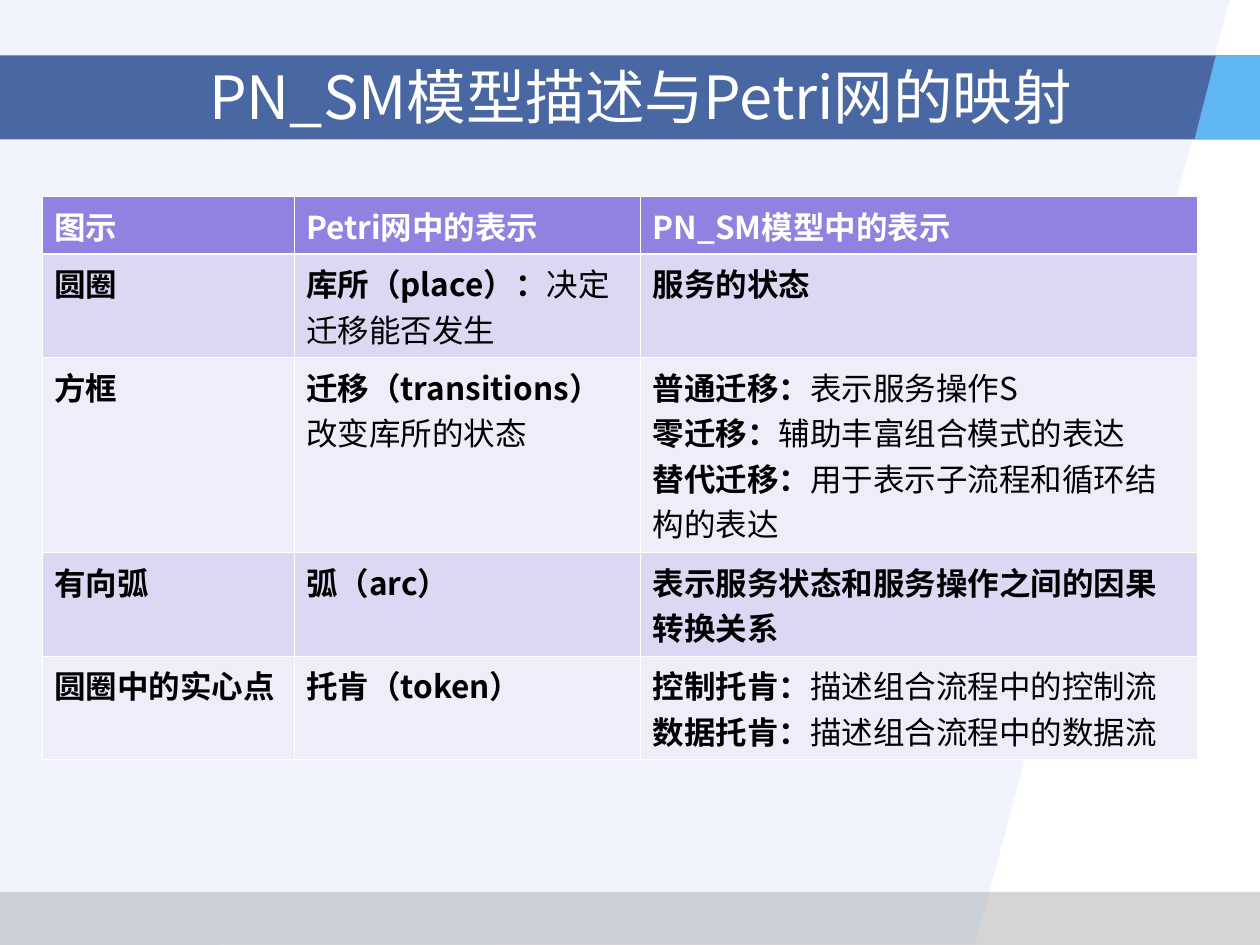
from dataclasses import dataclass
from typing import Any

import pptx
import pptx.dml.color
import pptx.enum.lang
import pptx.enum.shapes
import pptx.enum.text
import pptx.oxml.ns
import pptx.util
from lxml import etree

Pt = pptx.util.Pt
qn = pptx.oxml.ns.qn


@dataclass(frozen=True)
class Theme:
    font: str = "Noto Sans CJK SC"
    title_size: float = 34
    cell_size: float = 18
    white: str = "FFFFFF"
    black: str = "000000"
    footer: str = "969696"
    panel: str = "94B1EC"
    band: str = "173D89"
    accent: str = "5FB6F1"
    header: str = "9181E1"
    stripes: tuple[str, str] = ("DCD8F4", "EEEDF9")
    thin: float = 0.45
    thick: float = 1.47


@dataclass(frozen=True)
class Area:
    """A filled polygon, in points."""
    corners: tuple[tuple[float, float], ...]
    color: str
    opacity: int = 100


@dataclass(frozen=True)
class Line:
    """A table paragraph: a bold term, then a plain explanation."""
    term: str
    detail: str = ""


THEME = Theme()
WIDTH, HEIGHT = 720, 540
BAND_TOP, BAND_BOTTOM = 31.7, 79.7


def rgb(color: str) -> pptx.dml.color.RGBColor:
    return pptx.dml.color.RGBColor.from_string(color)


def apply(target: Any, formats: dict[str, Any]) -> None:
    for attribute, value in formats.items():
        setattr(target, attribute, value)


def rectangle(top: float, bottom: float) -> tuple[tuple[float, float], ...]:
    return (0, top), (WIDTH, top), (WIDTH, bottom), (0, bottom)


def is_rectangle(area: Area) -> bool:
    (x0, y0), (x1, y1), (x2, y2), (x3, y3) = area.corners
    return x0 == x3 and x1 == x2 and y0 == y1 and y2 == y3


def draw_area(slide: Any, area: Area) -> None:
    points = [(Pt(x), Pt(y)) for x, y in area.corners]
    (left, top), (right, bottom) = points[0], points[2]
    if is_rectangle(area):
        shape = slide.shapes.add_shape(
            pptx.enum.shapes.MSO_SHAPE.RECTANGLE, left, top, right - left, bottom - top)
    else:
        builder = slide.shapes.build_freeform(left, top)
        builder.add_line_segments(points[1:], close=True)
        shape = builder.convert_to_shape()
    shape.shadow.inherit = False
    shape.line.fill.background()
    shape.fill.solid()
    shape.fill.fore_color.rgb = rgb(area.color)
    if area.opacity < 100:
        color = shape.fill._xPr.find(f".//{qn('a:srgbClr')}")
        etree.SubElement(color, qn("a:alpha"), val=str(area.opacity * 1000))


def add_run(paragraph: Any, text: str, size: float, color: str, bold: bool = False) -> None:
    run = paragraph.add_run()
    run.text = text
    apply(run.font, {
        "name": THEME.font,
        "size": Pt(size),
        "bold": bold,
        "language_id": pptx.enum.lang.MSO_LANGUAGE_ID.SIMPLIFIED_CHINESE,
    })
    run.font.color.rgb = rgb(color)
    latin = run.font._rPr.find(qn("a:latin"))
    latin.addnext(etree.Element(qn("a:ea"), typeface=THEME.font))


def draw_title(slide: Any, text: str) -> None:
    title = slide.shapes.add_textbox(Pt(42), Pt(32.2), Pt(648), Pt(44.6))
    apply(title.text_frame, {
        "word_wrap": True,
        "vertical_anchor": pptx.enum.text.MSO_ANCHOR.MIDDLE,
    })
    paragraph = title.text_frame.paragraphs[0]
    paragraph.alignment = pptx.enum.text.PP_ALIGN.CENTER
    add_run(paragraph, text, THEME.title_size, THEME.white)


def add_borders(cell: Any, row: int) -> None:
    properties = cell._tc.get_or_add_tcPr()
    widths = {
        "lnL": THEME.thin,
        "lnR": THEME.thin,
        "lnT": THEME.thick if row == 1 else THEME.thin,
        "lnB": THEME.thick if row == 0 else THEME.thin,
    }
    for side, width in widths.items():
        border = etree.SubElement(properties, qn(f"a:{side}"), w=str(int(Pt(width))))
        fill = etree.SubElement(border, qn("a:solidFill"))
        etree.SubElement(fill, qn("a:srgbClr"), val=THEME.white)


def fill_cell(cell: Any, lines: list[Line], row: int) -> None:
    add_borders(cell, row)
    cell.fill.solid()
    cell.fill.fore_color.rgb = rgb(THEME.stripes[(row - 1) % 2] if row else THEME.header)
    apply(cell, {"margin_left": Pt(7), "margin_right": Pt(6.5),
                 "margin_top": Pt(3.6), "margin_bottom": Pt(3.6)})
    color = THEME.black if row else THEME.white
    for index, line in enumerate(lines):
        frame = cell.text_frame
        paragraph = frame.add_paragraph() if index else frame.paragraphs[0]
        add_run(paragraph, line.term, THEME.cell_size, color, bold=True)
        if line.detail:
            add_run(paragraph, line.detail, THEME.cell_size, color)


def draw_mapping(slide: Any, rows: list[list[list[Line]]],
                 widths: list[float], heights: list[float]) -> None:
    table = slide.shapes.add_table(
        len(rows), len(widths), Pt(24), Pt(112.2), Pt(sum(widths)), Pt(sum(heights))).table
    for column, width in zip(table.columns, widths):
        column.width = Pt(width)
    for row, (cells, height) in enumerate(zip(rows, heights)):
        table.rows[row].height = Pt(height)
        for column, lines in enumerate(cells):
            fill_cell(table.cell(row, column), lines, row)


# Background, back to front
AREAS = [
    Area(rectangle(509.8, HEIGHT), THEME.footer, 40),
    Area(((0, 0), (702.7, 0), (557.3, 539.5), (0, HEIGHT)), THEME.panel, 13),
    Area(rectangle(BAND_TOP, BAND_BOTTOM), THEME.band, 77),
    Area(((694.8, BAND_TOP), (682.6, BAND_BOTTOM), (WIDTH, BAND_BOTTOM), (WIDTH, BAND_TOP)),
         THEME.accent),
]

# Table content
MAPPING = [
    [[Line("图示")], [Line("Petri网中的表示")], [Line("PN_SM模型中的表示")]],
    [[Line("圆圈")], [Line("库所（place）：", "决定迁移能否发生")], [Line("服务的状态")]],
    [[Line("方框")], [Line("迁移（transitions）", "改变库所的状态")],
     [Line("普通迁移：", "表示服务操作S"),
      Line("零迁移：", "辅助丰富组合模式的表达"),
      Line("替代迁移：", "用于表示子流程和循环结构的表达")]],
    [[Line("有向弧")], [Line("弧（arc）")],
     [Line("表示服务状态和服务操作之间的因果转换关系")]],
    [[Line("圆圈中的实心点")], [Line("托肯（token）")],
     [Line("控制托肯：", "描述组合流程中的控制流"),
      Line("数据托肯：", "描述组合流程中的数据流")]],
]


def main() -> None:
    deck = pptx.Presentation()
    apply(deck, {"slide_width": Pt(WIDTH), "slide_height": Pt(HEIGHT)})
    slide = deck.slides.add_slide(deck.slide_layouts[6])
    for area in AREAS:
        draw_area(slide, area)
    draw_title(slide, "PN_SM模型描述与Petri网的映射")
    draw_mapping(slide, MAPPING, widths=[144, 198, 318],
                 heights=[32.8, 59.2, 111.5, 59.2, 59.2])
    deck.save("out.pptx")


if __name__ == "__main__":
    main()
